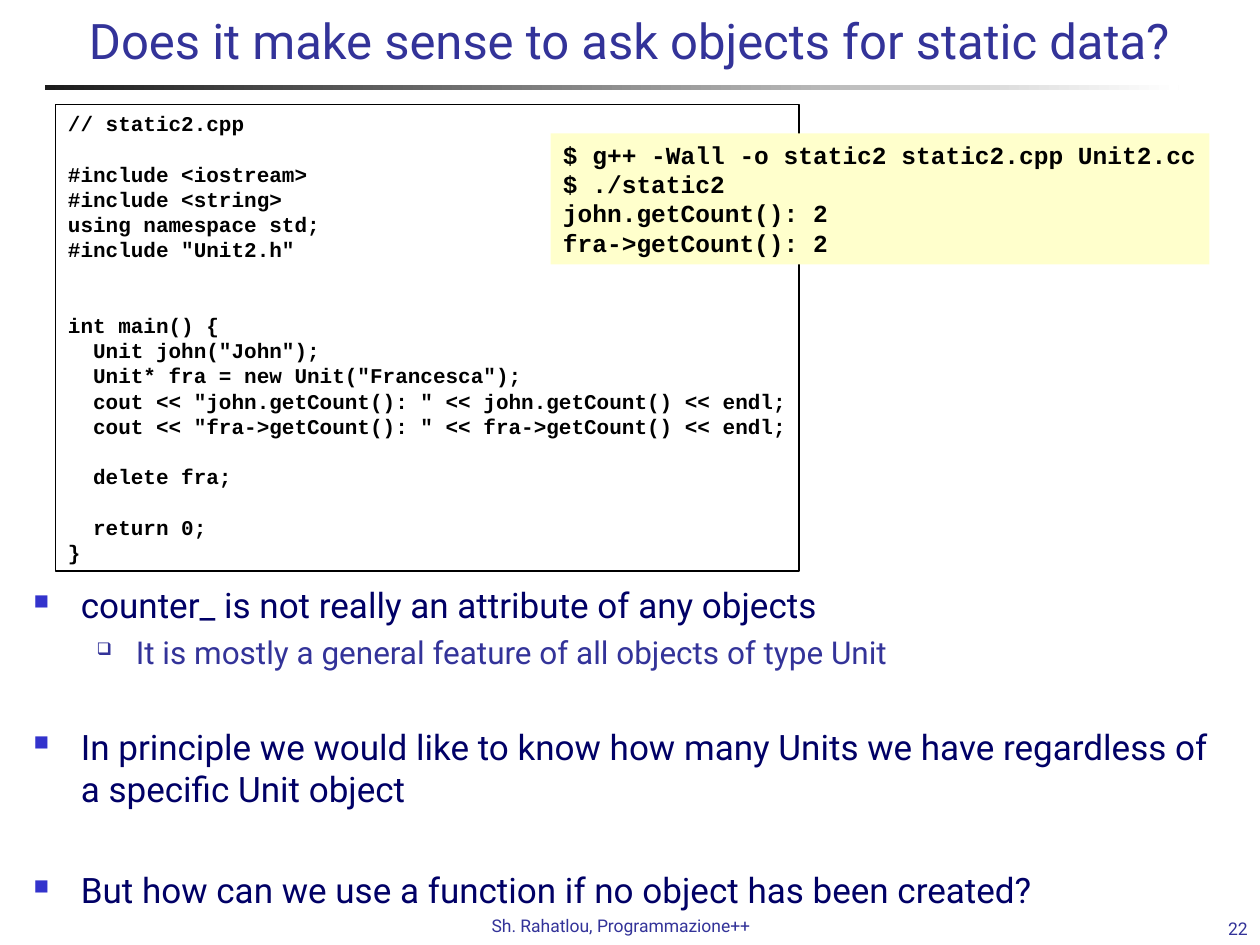
from lxml import etree
from pptx import Presentation
from pptx.dml.color import RGBColor
from pptx.enum.shapes import MSO_SHAPE
from pptx.enum.text import MSO_ANCHOR, PP_ALIGN
from pptx.oxml.ns import qn
from pptx.util import Cm, Pt

RECTANGLE = MSO_SHAPE.RECTANGLE
TOP, BOTTOM = MSO_ANCHOR.TOP, MSO_ANCHOR.BOTTOM
LEFT, CENTER, RIGHT = PP_ALIGN.LEFT, PP_ALIGN.CENTER, PP_ALIGN.RIGHT
LINE_PITCH = 1.2
BLUE = "333399"

SOURCE_CODE = """\
// static2.cpp

#include <iostream>
#include <string>
using namespace std;
#include "Unit2.h"


int main() {
  Unit john("John");
  Unit* fra = new Unit("Francesca");
  cout << "john.getCount(): " << john.getCount() << endl;
  cout << "fra->getCount(): " << fra->getCount() << endl;

  delete fra;

  return 0;
}"""

CONSOLE = """\
$ g++ -Wall -o static2 static2.cpp Unit2.cc
$ ./static2
john.getCount(): 2
fra->getCount(): 2"""

LEVELS = [
    {"indent": (0.95, -0.95), "bullet": ("■", "3333CC", 60), "size": 20, "color": "000066"},
    {"indent": (2.06, -0.79), "bullet": ("❑", BLUE, 55), "size": 18, "color": BLUE},
]
# level, space before in points, text
POINTS = [
    (0, 0, "counter_ is not really an attribute of any objects"),
    (1, 4.5, "It is mostly a general feature of all objects of type Unit"),
    (0, 31, "In principle we would like to know how many Units we have "
            "regardless of a specific Unit object"),
    (0, 34, "But how can we use a function if no object has been created?"),
]


def format_para(para, text, size, color, space_before=0, align=LEFT, **font):
    layout = {"alignment": align, "space_before": Pt(space_before),
              "line_spacing": Pt(round(size * LINE_PITCH, 1))}
    for name, value in layout.items():
        setattr(para, name, value)
    span = para.add_run()
    span.text = text
    span.font.color.rgb = RGBColor.from_string(color)
    for name, value in {"size": Pt(size), "name": "Roboto", **font}.items():
        setattr(span.font, name, value)


def add_bullet(para, indent, bullet):
    margin, hanging = indent
    symbol, color, percent = bullet
    properties = para._p.get_or_add_pPr()
    properties.set("marL", str(Cm(margin)))
    properties.set("indent", str(Cm(hanging)))
    bullet_color = etree.SubElement(properties, qn("a:buClr"))
    etree.SubElement(bullet_color, qn("a:srgbClr"), val=color)
    etree.SubElement(properties, qn("a:buSzPct"), val=str(percent * 1000))
    etree.SubElement(properties, qn("a:buChar"), char=symbol)


deck = Presentation()
deck.slide_width, deck.slide_height = Cm(25.4), Cm(19.05)
page = deck.slides.add_slide(deck.slide_layouts[6])

# Fading rule under the title
rule = page.shapes.add_shape(RECTANGLE, Cm(0.9), Cm(1.72), Cm(22.86), Cm(0.09))
rule.shadow.inherit = False
rule.line.fill.background()
rule.fill.gradient()
rule.fill.gradient_angle = 0
for stop, color in zip(rule.fill.gradient_stops, ("1C1C1C", "FFFFFF")):
    stop.color.rgb = RGBColor.from_string(color)
for stop, position in zip(rule.fill.gradient_stops, (0, 1)):
    stop.position = position

# Footer, page number and title
for text, area, size, align, anchor, wrap in [
    ("Sh. Rahatlou, Programmazione++", (9.66, 18.33, 6.02, 0.69), 10, LEFT, TOP, False),
    ("22", (22.66, 18.41, 2.74, 0.64), 10, RIGHT, BOTTOM, True),
    ("Does it make sense to ask objects for static data?",
     (1.47, 0.08, 22.43, 1.7), 28, CENTER, TOP, True),
]:
    box = page.shapes.add_textbox(*map(Cm, area))
    box.text_frame.word_wrap = wrap
    box.text_frame.vertical_anchor = anchor
    format_para(box.text_frame.paragraphs[0], text, size, BLUE, align=align)

# Bullet points
body = page.shapes.add_textbox(Cm(0.43), Cm(11.63), Cm(24.46), Cm(7.42)).text_frame
body.word_wrap = True
for index, (level, gap, text) in enumerate(POINTS):
    para = body.add_paragraph() if index else body.paragraphs[0]
    style = LEVELS[level]
    para.level = level
    add_bullet(para, style["indent"], style["bullet"])
    format_para(para, text, style["size"], style["color"], gap)

# Source code and console output; blank code lines become space before the next line
for listing, area, size, fill, outline in [
    (SOURCE_CODE, (1.12, 2.11, 14.99, 9.4), 12, None, "000000"),
    (CONSOLE, (11.1, 2.69, 13.28, 2.64), 14, "FFFFCC", None),
]:
    box = page.shapes.add_shape(RECTANGLE, *map(Cm, area))
    box.shadow.inherit = False
    if fill:
        box.fill.solid()
        box.fill.fore_color.rgb = RGBColor.from_string(fill)
    else:
        box.fill.background()
    if outline:
        box.line.color.rgb = RGBColor.from_string(outline)
        box.line.width = Pt(0.75)
    else:
        box.line.fill.background()
    frame = box.text_frame
    frame.word_wrap = False
    frame.vertical_anchor = TOP
    gap = 0
    for index, line in enumerate(listing.splitlines()):
        if not line:
            gap += size * LINE_PITCH
            continue
        para = frame.add_paragraph() if index else frame.paragraphs[0]
        format_para(para, line, size, "000000", gap, name="Courier New", bold=True)
        gap = 0

deck.save("out.pptx")
